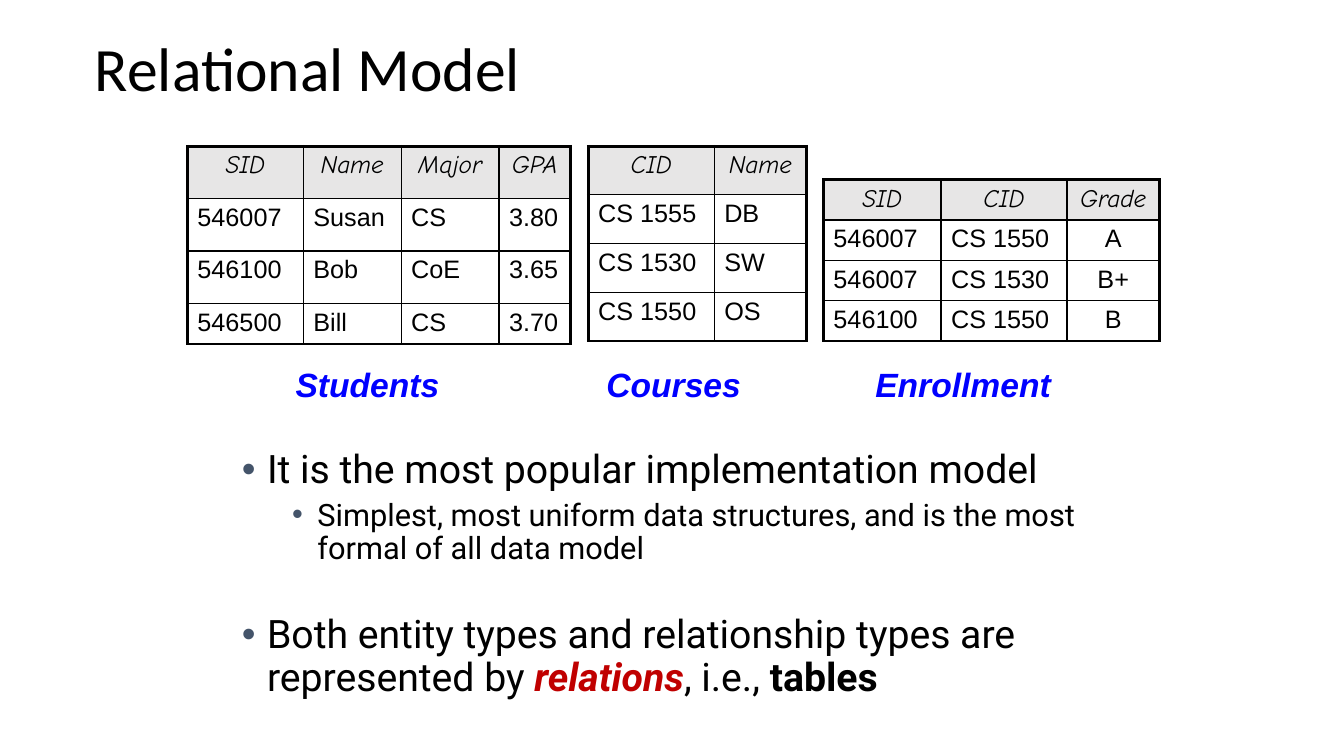
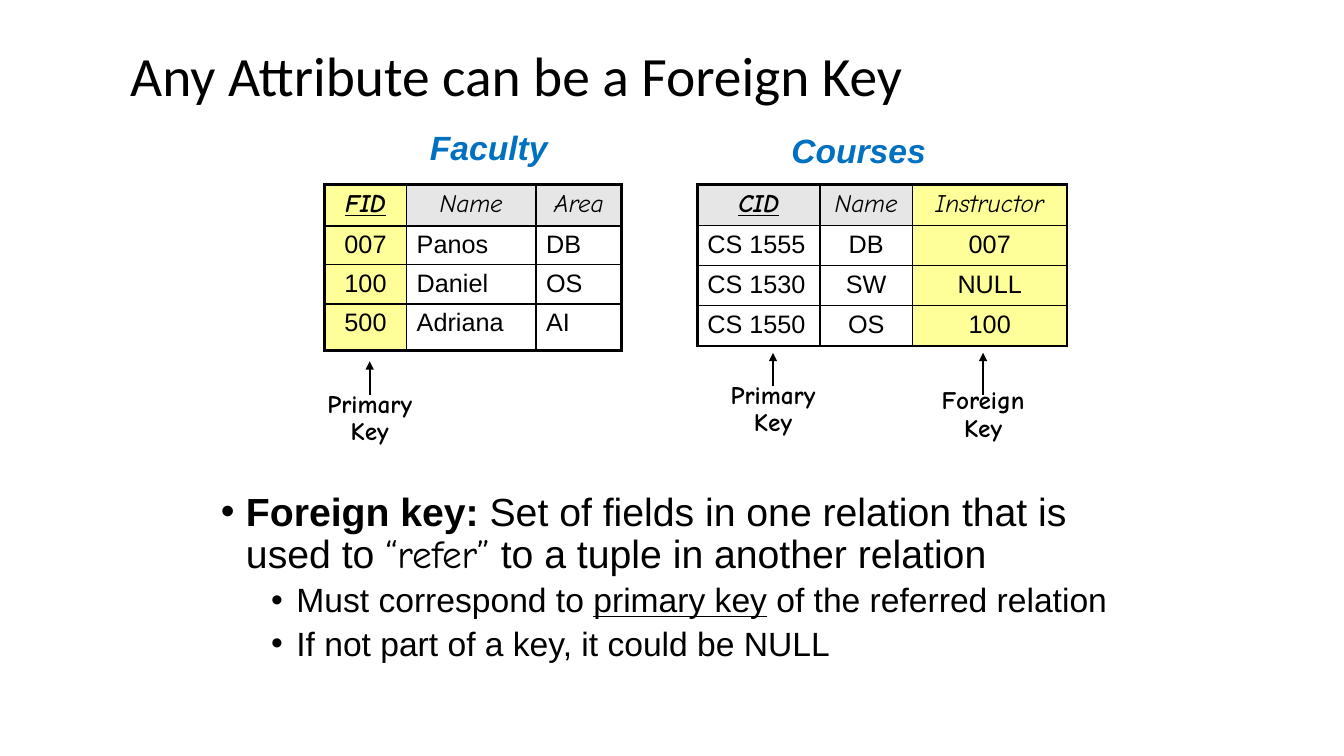
from dataclasses import dataclass

from lxml.etree import SubElement
from pptx import Presentation
from pptx.dml.color import RGBColor
from pptx.enum.shapes import MSO_CONNECTOR
from pptx.enum.text import MSO_ANCHOR, MSO_AUTO_SIZE, PP_ALIGN
from pptx.oxml.ns import qn
from pptx.util import Inches, Pt


@dataclass(frozen=True)
class Theme:
    ink: str = "000000"
    paper: str = "FFFFFF"
    header: str = "E7E6E6"
    key: str = "FFFF99"
    bullet: str = "44546A"
    accent: str = "C00000"
    blue: str = "0000FF"
    sky: str = "0070C0"
    title_font: str = "Calibri"
    text_font: str = "Arial"
    modern_font: str = "Roboto"
    hand_font: str = "Comic Neue"
    cell_size: float = 18
    label_size: float = 24
    body_size: float = 28
    outer_line: float = 2.25
    inner_line: float = 1
    arrow_line: float = 1.5


theme = Theme()
presentation = Presentation()
presentation.slide_width, presentation.slide_height = Inches(13.33), Inches(7.5)
CELL = presentation.slide_height / 90  # the slide is a grid of 160 columns by 90 rows


def grid(*counts):
    return [round(count * CELL) for count in counts]


def write(paragraph, runs, name, size, color=theme.ink, alignment=PP_ALIGN.LEFT, spacing=0.9):
    """Fill a paragraph with (text, changes) runs over one base font."""
    paragraph.alignment, paragraph.line_spacing = alignment, spacing
    font = paragraph.font
    font.name, font.size, font.color.rgb = name, Pt(size), RGBColor.from_string(color)
    for text, changes in runs:
        run = paragraph.add_run()
        run.text = text
        for attribute, value in changes.items():
            if attribute == "color":
                run.font.color.rgb = RGBColor.from_string(value)
            else:
                setattr(run.font, attribute, value)


strong = {"bold": True, "italic": True}

# Tables: left, top, columns, rows, centred columns, highlighted column, key column, cells
# Labels: text, left, top, width
# Bullets: level, size, space before, runs
# Keys: text, left, top, arrow start, arrow tip
slides = [
    {
        "title": ("Relational Model", 44, (10.1, 5, 140, 7)),
        "tables": [
            (22.3, 17.4, (13.8, 11.65, 11.65, 8.5), (6.25, 6.25, 6.25, 4.8), (), None, None, [
                ("SID", "Name", "Major", "GPA"),
                ("546007", "Susan", "CS", "3.80"),
                ("546100", "Bob", "CoE", "3.65"),
                ("546500", "Bill", "CS", "3.70")]),
            (70, 17.4, (15, 11), (5.8,) * 4, (), None, None, [
                ("CID", "Name"), ("CS 1555", "DB"), ("CS 1530", "SW"), ("CS 1550", "OS")]),
            (98, 21.4, (14, 15, 11), (4.8,) * 4, (2,), None, None, [
                ("SID", "CID", "Grade"),
                ("546007", "CS 1550", "A"),
                ("546007", "CS 1530", "B+"),
                ("546100", "CS 1550", "B")]),
        ],
        "label_color": theme.blue,
        "labels": [("Students", 34, 43.3, 24), ("Courses", 71, 43.3, 19),
                   ("Enrollment", 103, 43.3, 24)],
        "body": (27.6, 53, 105, 31.4),
        "body_font": theme.modern_font,
        "bullet_color": theme.bullet,
        "bullets": [
            (0, theme.body_size, 10, [("It is the most popular implementation model", {})]),
            (1, 22, 5, [("Simplest, most uniform data structures, and is the most "
                         "formal of all data model", {})]),
            (0, theme.body_size, 35, [
                ("Both entity types and relationship types are represented by ", {}),
                ("relations", {**strong, "color": theme.accent}),
                (", i.e., ", {}), ("tables", {"bold": True})]),
        ],
        "keys": [],
    },
    {
        "title": ("Any Attribute can be a Foreign Key", 39.6, (14.3, 5.8, 105, 7)),
        "tables": [
            (38.6, 22, (9.8, 15.4, 10.2), (4.9, 4.6, 4.7, 5.5), (0,), 0, 0, [
                ("FID", "Name", "Area"),
                ("007", "Panos", "DB"),
                ("100", "Daniel", "OS"),
                ("500", "Adriana", "AI")]),
            (83, 22, (14.6, 11, 18.4), (4.8,) * 4, (1, 2), 2, 0, [
                ("CID", "Name", "Instructor"),
                ("CS 1555", "DB", "007"),
                ("CS 1530", "SW", "NULL"),
                ("CS 1550", "OS", "100")]),
        ],
        "label_color": theme.sky,
        "labels": [("Faculty", 50, 15, 18), ("Courses", 93, 15.4, 19)],
        "body": (25.1, 58, 113, 31),
        "body_font": theme.text_font,
        "bullet_color": theme.ink,
        "bullets": [
            (0, theme.body_size, 10, [
                ("Foreign key:", {"bold": True}),
                (" Set of fields in one relation that is used to ", {}),
                ("“refer”", {"name": theme.hand_font}),
                (" to a tuple in another relation", {})]),
            (1, 24, 5, [("Must correspond to ", {}), ("primary key", {"underline": True}),
                        (" of the referred relation", {})]),
            (1, 24, 5, [("If not part of a key, it could be NULL", {})]),
        ],
        "keys": [("Primary Key", 36, 46, 47, 43), ("Foreign Key", 109, 45.6, 47, 42),
                 ("Primary Key", 84, 45, 46, 42)],
    },
]

for content in slides:
    slide = presentation.slides.add_slide(presentation.slide_layouts[5])

    # Title
    text, size, box = content["title"]
    title = slide.shapes.title
    title.left, title.top, title.width, title.height = grid(*box)
    title.text_frame.vertical_anchor = MSO_ANCHOR.MIDDLE
    title.text_frame.auto_size = MSO_AUTO_SIZE.NONE
    write(title.text_frame.paragraphs[0], [(text, {})], theme.title_font, size)

    # Tables with a heavy frame and thin inner rules
    for left, top, widths, heights, centred, highlighted, key, rows in content["tables"]:
        table = slide.shapes.add_table(len(heights), len(widths),
                                       *grid(left, top, sum(widths), sum(heights))).table
        table.first_row = table.horz_banding = False
        for column, width in zip(table.columns, grid(*widths)):
            column.width = width
        for row, height in zip(table.rows, grid(*heights)):
            row.height = height
        for r, values in enumerate(rows):
            for c, value in enumerate(values):
                cell = table.cell(r, c)
                edges = {"lnL": c == 0, "lnR": c == len(widths) - 1,
                         "lnT": r == 0, "lnB": r == len(rows) - 1}
                for edge, outer in edges.items():
                    line_width = Pt(theme.outer_line if outer else theme.inner_line)
                    line = SubElement(cell._tc.get_or_add_tcPr(), qn(f"a:{edge}"),
                                      w=str(line_width))
                    SubElement(SubElement(line, qn("a:solidFill")), qn("a:srgbClr"),
                               val=theme.ink)
                fill = theme.key if c == highlighted else theme.paper if r else theme.header
                cell.fill.solid()
                cell.fill.fore_color.rgb = RGBColor.from_string(fill)
                changes = {} if r else {"italic": True}
                if r == 0 and c == key:
                    changes = {**strong, "underline": True}
                write(cell.text_frame.paragraphs[0], [(value, changes)],
                      theme.text_font if r else theme.hand_font, theme.cell_size,
                      alignment=PP_ALIGN.CENTER if r == 0 or c in centred else PP_ALIGN.LEFT,
                      spacing=1.0)

    # Table names
    for text, left, top, width in content["labels"]:
        label = slide.shapes.add_textbox(*grid(left, top, width, 5.6)).text_frame
        label.word_wrap = True
        write(label.paragraphs[0], [(text, strong)], theme.text_font, theme.label_size,
              content["label_color"])

    # Bulleted text
    body = slide.shapes.add_textbox(*grid(*content["body"])).text_frame
    body.word_wrap = True
    for index, (level, size, space, runs) in enumerate(content["bullets"]):
        paragraph = body.add_paragraph() if index else body.paragraphs[0]
        paragraph.level, paragraph.space_before = level, Pt(space)
        properties = paragraph._p.get_or_add_pPr()
        properties.set("marL", str(Inches(0.25 + 0.5 * level)))
        properties.set("indent", str(-Inches(0.25)))
        SubElement(SubElement(properties, qn("a:buClr")), qn("a:srgbClr"),
                   val=content["bullet_color"])
        SubElement(properties, qn("a:buFont"), typeface=theme.text_font)
        SubElement(properties, qn("a:buChar"), char="•")
        write(paragraph, runs, content["body_font"], size)

    # Key notes, each with an arrow up to its column
    for text, left, top, start, tip in content["keys"]:
        note = slide.shapes.add_textbox(*grid(left, top, 16, 7.8)).text_frame
        note.word_wrap = True
        write(note.paragraphs[0], [(text, {"bold": True})], theme.hand_font, theme.cell_size,
              alignment=PP_ALIGN.CENTER)
        middle = left + 8
        arrow = slide.shapes.add_connector(MSO_CONNECTOR.STRAIGHT,
                                           *grid(middle, start, middle, tip))
        arrow.line.width = Pt(theme.arrow_line)
        arrow.line.color.rgb = RGBColor.from_string(theme.ink)
        SubElement(arrow.line._get_or_add_ln(), qn("a:tailEnd"), type="triangle")
        SubElement(arrow._element.spPr, qn("a:effectLst"))

presentation.save("out.pptx")
